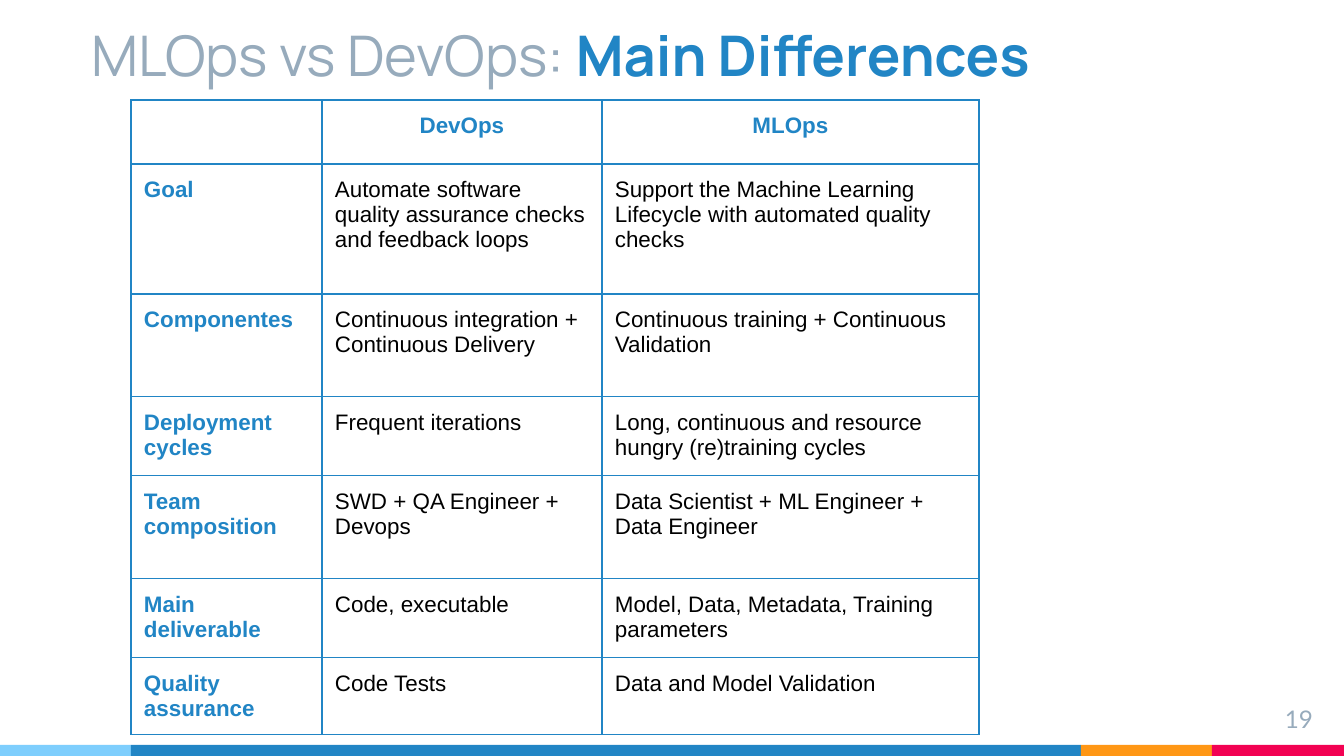
from dataclasses import dataclass

from lxml import etree
from pptx import Presentation
from pptx.dml.color import RGBColor
from pptx.enum.shapes import MSO_SHAPE
from pptx.enum.text import MSO_ANCHOR, MSO_AUTO_SIZE, PP_ALIGN
from pptx.oxml.ns import qn
from pptx.util import Emu, Pt

RECTANGLE = MSO_SHAPE.RECTANGLE
TOP, BOTTOM = MSO_ANCHOR.TOP, MSO_ANCHOR.BOTTOM
LEFT, CENTER, RIGHT = PP_ALIGN.LEFT, PP_ALIGN.CENTER, PP_ALIGN.RIGHT
NO_AUTOFIT = MSO_AUTO_SIZE.NONE
TITLE_ONLY = 5
EMU_PER_PX = 914400 / 134.4
SLIDE_WIDTH, SLIDE_HEIGHT = 1344, 756
INSET = 13


@dataclass(frozen=True)
class Theme:
    blue: str = "2185C5"
    sky: str = "7ECEFD"
    orange: str = "FF9715"
    red: str = "F20253"
    grey: str = "97ABBC"
    black: str = "000000"
    title_font: str = "Manrope"
    table_font: str = "Arial"
    number_font: str = "Lato"
    title_size: int = 30
    table_size: int = 12
    number_size: int = 13
    border_width: float = 0.75


THEME = Theme()

# Footer stripes: width and colour, from left to right
STRIPES = [(131, THEME.sky), (950, THEME.blue), (131, THEME.orange), (132, THEME.red)]

COLUMN_WIDTHS = [191, 280, 377]
ROW_HEIGHTS = [64, 130, 103, 79, 103, 79, 77]
# A line break in a cell starts a new paragraph
ROWS = [
    ["", "DevOps", "MLOps"],
    ["Goal", "Automate software quality assurance checks and feedback loops",
     "Support the Machine Learning Lifecycle with automated quality checks"],
    ["Componentes", "Continuous integration + Continuous Delivery",
     "Continuous training + Continuous Validation"],
    ["Deployment\ncycles", "Frequent iterations",
     "Long, continuous and resource hungry (re)training cycles"],
    ["Team composition", "SWD + QA Engineer +\nDevops",
     "Data Scientist + ML Engineer +\nData Engineer"],
    ["Main deliverable", "Code, executable",
     "Model, Data, Metadata, Training parameters"],
    ["Quality assurance", "Code Tests", "Data and Model Validation"],
]


def px(value):
    return Emu(round(value * EMU_PER_PX))


def add_text(paragraph, text, *, font, size, color, bold=False, align=LEFT):
    paragraph.alignment = align
    run = paragraph.add_run()
    run.text = text
    run.font.name = font
    run.font.size = Pt(size)
    run.font.bold = bold
    run.font.color.rgb = RGBColor.from_string(color)


def set_margins(target):
    target.margin_left = target.margin_right = px(INSET)
    target.margin_top = target.margin_bottom = px(INSET)


def prepare_frame(frame, anchor):
    set_margins(frame)
    frame.word_wrap = True
    frame.auto_size = NO_AUTOFIT
    frame.vertical_anchor = anchor


def add_stripes(slide):
    left = 0
    for width, color in STRIPES:
        stripe = slide.shapes.add_shape(RECTANGLE, px(left), px(745), px(width), px(11))
        stripe.shadow.inherit = False
        stripe.fill.solid()
        stripe.fill.fore_color.rgb = RGBColor.from_string(color)
        stripe.line.fill.background()
        left += width


def fill_title(slide):
    title = slide.shapes.title
    title.left, title.top, title.width, title.height = px(78), px(-25), px(1056), px(126)
    prepare_frame(title.text_frame, BOTTOM)
    paragraph = title.text_frame.paragraphs[0]
    style = {"font": THEME.title_font, "size": THEME.title_size}
    add_text(paragraph, "MLOps vs DevOps: ", color=THEME.grey, **style)
    add_text(paragraph, "Main Differences", color=THEME.blue, bold=True, **style)


def add_page_number(slide):
    box = slide.shapes.add_textbox(px(1246), px(691), px(80), px(46))
    prepare_frame(box.text_frame, TOP)
    add_text(box.text_frame.paragraphs[0], "19", font=THEME.number_font,
             size=THEME.number_size, color=THEME.grey, align=RIGHT)


def set_borders(cell):
    properties = cell._tc.get_or_add_tcPr()
    for side in ("a:lnL", "a:lnR", "a:lnT", "a:lnB"):
        line = etree.SubElement(properties, qn(side), w=str(Pt(THEME.border_width)))
        fill = etree.SubElement(line, qn("a:solidFill"))
        etree.SubElement(fill, qn("a:srgbClr"), val=THEME.blue)


def fill_cell(cell, text, *, heading, align):
    set_margins(cell)
    cell.vertical_anchor = TOP
    set_borders(cell)
    cell.fill.background()
    frame = cell.text_frame
    if not text:
        # Keeps the empty cell from stretching its row
        etree.SubElement(frame.paragraphs[0]._p, qn("a:endParaRPr"),
                         sz=str(THEME.table_size * 100))
        return
    for index, line in enumerate(text.split("\n")):
        paragraph = frame.add_paragraph() if index else frame.paragraphs[0]
        add_text(paragraph, line, font=THEME.table_font, size=THEME.table_size,
                 color=THEME.blue if heading else THEME.black, bold=heading, align=align)


def add_comparison_table(slide):
    table = slide.shapes.add_table(
        len(ROWS), len(COLUMN_WIDTHS), px(131), px(100),
        px(sum(COLUMN_WIDTHS)), px(sum(ROW_HEIGHTS))).table
    table.first_row = table.horz_banding = False
    for column, width in zip(table.columns, COLUMN_WIDTHS):
        column.width = px(width)
    for row, height in zip(table.rows, ROW_HEIGHTS):
        row.height = px(height)
    for row_index, texts in enumerate(ROWS):
        for column_index, text in enumerate(texts):
            fill_cell(table.cell(row_index, column_index), text,
                      heading=row_index == 0 or column_index == 0,
                      align=LEFT if row_index else CENTER)


def main():
    presentation = Presentation()
    presentation.slide_width = px(SLIDE_WIDTH)
    presentation.slide_height = px(SLIDE_HEIGHT)
    slide = presentation.slides.add_slide(presentation.slide_layouts[TITLE_ONLY])
    add_stripes(slide)
    fill_title(slide)
    add_page_number(slide)
    add_comparison_table(slide)
    presentation.save("out.pptx")


if __name__ == "__main__":
    main()
